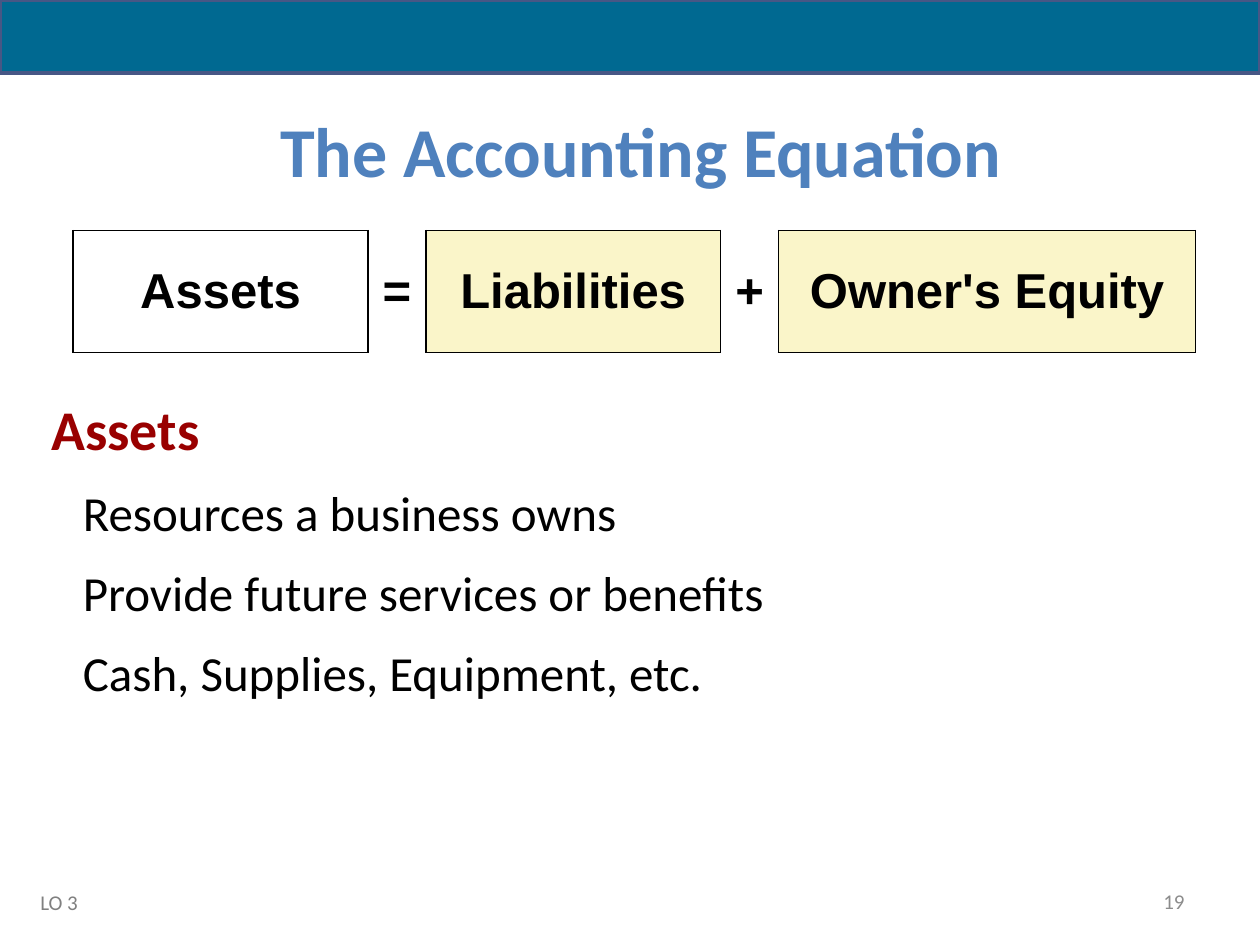
from lxml import etree
from pptx import Presentation
from pptx.dml.color import RGBColor
from pptx.enum.shapes import MSO_SHAPE
from pptx.enum.text import MSO_ANCHOR, PP_ALIGN
from pptx.oxml.ns import qn
from pptx.util import Inches, Pt

RECT = MSO_SHAPE.RECTANGLE
TOP, MIDDLE = MSO_ANCHOR.TOP, MSO_ANCHOR.MIDDLE
LEFT, CENTER, RIGHT = PP_ALIGN.LEFT, PP_ALIGN.CENTER, PP_ALIGN.RIGHT


def color(code):
    """Turn a hex string into a colour."""
    return RGBColor.from_string(code)


def write(par, text, size=28, font="Calibri", ink="000000", bold=False,
          align=LEFT, before=0, left=0, hang=0):
    """Write formatted text into a paragraph."""
    par.alignment = align
    par.space_before = Pt(before)
    props = par._p.get_or_add_pPr()
    props.set("marL", str(Inches(left)))
    props.set("indent", str(Inches(hang)))
    run = par.add_run()
    run.text = text
    run.font.size, run.font.name, run.font.bold = Pt(size), font, bold
    run.font.color.rgb = color(ink)


def frame(slide, box, anchor=TOP, side=0.1):
    """Add a wrapping text box and return its text frame."""
    text = slide.shapes.add_textbox(*map(Inches, box)).text_frame
    text.word_wrap = True
    text.vertical_anchor = anchor
    text.margin_left = text.margin_right = Inches(side)
    return text


def banner(slide, box):
    """Draw the band along the top."""
    band = slide.shapes.add_shape(RECT, *map(Inches, box))
    band.shadow.inherit = False
    band.fill.solid()
    band.fill.fore_color.rgb = color("006991")
    band.line.color.rgb = color("475785")
    band.line.width = Pt(2.25)


def title(slide, box):
    """Place the slide title."""
    write(frame(slide, box, MIDDLE).paragraphs[0], "The Accounting Equation",
          size=40, ink="4F81BD", bold=True, align=CENTER)


def border(cell, edges):
    """Draw one-point cell borders from pairs of side and colour."""
    props = cell._tc.get_or_add_tcPr()
    for side, code in edges:
        line = etree.SubElement(props, qn(f"a:ln{side}"), w=str(Pt(1)))
        fill = etree.SubElement(line, qn("a:solidFill"))
        etree.SubElement(fill, qn("a:srgbClr"), val=code)


def equation(slide, box):
    """Lay out the equation as a one-row table."""
    terms = [("Assets", 2.34, None), ("=", 0.46, None),
             ("Liabilities", 2.34, "FAF5C9"), ("+", 0.46, None),
             ("Owner's Equity", 3.31, "FAF5C9")]
    table = slide.shapes.add_table(1, len(terms), *map(Inches, box)).table
    table.first_row = table.horz_banding = False
    for col, (text, width, tint) in enumerate(terms):
        table.columns[col].width = Inches(width)
        cell = table.cell(0, col)
        cell.vertical_anchor = MIDDLE
        cell.margin_left = cell.margin_right = 0
        cell.margin_top = cell.margin_bottom = Inches(0.25)
        edge = "FFFFFF" if text in "=+" else "000000"
        border(cell, zip("LRTB", ("000000", "000000", edge, edge)))
        if tint:
            cell.fill.solid()
            cell.fill.fore_color.rgb = color(tint)
        else:
            cell.fill.background()
        write(cell.text_frame.paragraphs[0], text, font="Arial",
              bold=True, align=CENTER)


def body(slide, box):
    """Place the heading and its points."""
    text = frame(slide, box)
    write(text.paragraphs[0], "Assets", size=32, ink="990000", bold=True,
          before=12)
    for point in ("Resources a business owns",
                  "Provide future services or benefits",
                  "Cash, Supplies, Equipment, etc."):
        write(text.add_paragraph(), point, before=12, left=0.63, hang=-0.38)


def footer(slide, box):
    """Place the objective at the left and the page number at the right."""
    x, y, width, height = box
    goal = frame(slide, (x, y + 0.06, 0.53, 0.3), side=0)
    write(goal.paragraphs[0], "LO 3", size=12, ink="808080", before=12,
          left=0.07)
    page = frame(slide, (x + width - 2.33, y, 2.33, height), MIDDLE)
    write(page.paragraphs[0], "19", size=12, ink="8C8C8C", align=RIGHT)


def main():
    """Build and save the slide."""
    deck = Presentation()
    deck.slide_width, deck.slide_height = Inches(10), Inches(7.5)
    slide = deck.slides.add_slide(deck.slide_layouts[6])
    footer(slide, (0.25, 6.95, 9.25, 0.4))
    body(slide, (0.31, 3.08, 9.33, 3.58))
    title(slide, (0.34, 0.83, 9.49, 0.71))
    equation(slide, (0.58, 1.83, 8.91, 0.97))
    banner(slide, (0, 0, 10, 0.58))
    deck.save("out.pptx")


if __name__ == "__main__":
    main()
